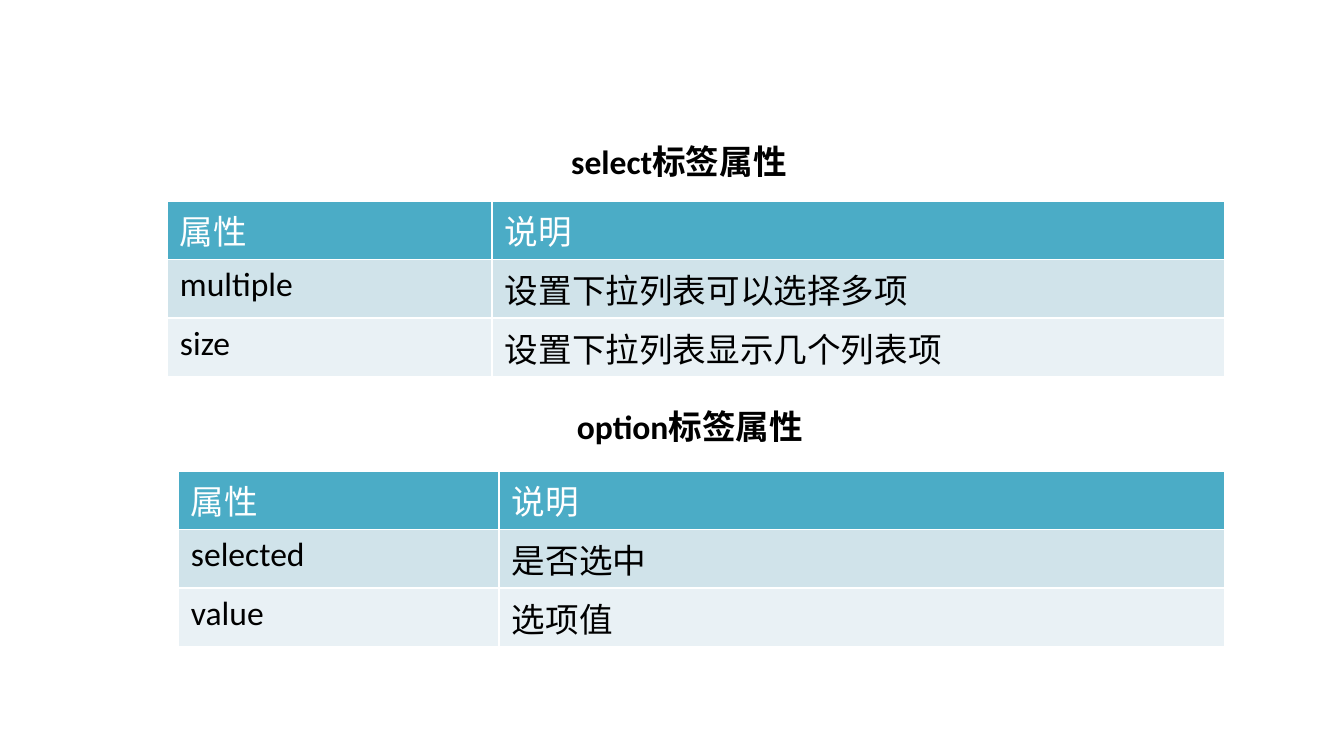
from dataclasses import dataclass

from lxml.etree import SubElement
from pptx import Presentation
from pptx.dml.color import RGBColor
from pptx.enum.text import MSO_ANCHOR, MSO_AUTO_SIZE, PP_ALIGN
from pptx.oxml.ns import qn
from pptx.util import Emu, Pt

SCALE = 914400 / 134.4
ROW = 51
FILLS = ["4BACC6", "D0E3EA", "E9F1F5"]
INKS = ["FFFFFF", "000000", "000000"]


@dataclass
class Box:
    left: int
    top: int
    width: int
    height: int


@dataclass
class Grid:
    left: int
    top: int
    cols: list[int]
    rows: list[tuple[str, str]]


def px(size: int) -> Emu:
    return Emu(round(size * SCALE))


def color(code: str) -> RGBColor:
    return RGBColor.from_string(code)


def style(para, ink: str, bold: bool) -> None:
    font = para.font
    font.name = "Calibri"
    font.size = Pt(18)
    font.bold = bold
    font.color.rgb = color(ink)


def label(shape, box: Box, text: str) -> None:
    shape.left, shape.top = px(box.left), px(box.top)
    shape.width, shape.height = px(box.width), px(box.height)
    frame = shape.text_frame
    frame.word_wrap = True
    frame.auto_size = MSO_AUTO_SIZE.NONE
    frame.vertical_anchor = MSO_ANCHOR.TOP
    para = frame.paragraphs[0]
    para.text = text
    para.alignment = PP_ALIGN.CENTER
    para.space_before = Pt(0)
    props = para._p.get_or_add_pPr()
    props.set("marL", "0")
    props.set("indent", "0")
    SubElement(props, qn("a:buNone"))
    style(para, "000000", True)


def draw(slide, grid: Grid) -> None:
    count = len(grid.rows)
    table = slide.shapes.add_table(
        count, len(grid.cols), px(grid.left), px(grid.top),
        px(sum(grid.cols)), px(ROW * count)).table
    for col, width in zip(table.columns, grid.cols):
        col.width = px(width)
    for row, texts, fill, ink in zip(table.rows, grid.rows, FILLS, INKS):
        row.height = px(ROW)
        for cell, text in zip(row.cells, texts):
            cell.fill.solid()
            cell.fill.fore_color.rgb = color(fill)
            cell.margin_left = cell.margin_right = px(13)
            cell.margin_top = cell.margin_bottom = px(5)
            cell.text = text
            style(cell.text_frame.paragraphs[0], ink, False)


def main() -> None:
    deck = Presentation()
    deck.slide_width, deck.slide_height = px(1344), px(756)
    slide = deck.slides.add_slide(deck.slide_layouts[1])
    title, body = slide.placeholders
    title.element.getparent().remove(title.element)
    head = ("属性", "说明")

    label(body, Box(134, 134, 1090, 71), "select标签属性")
    draw(slide, Grid(167, 201, [325, 733], [
        head,
        ("multiple", "设置下拉列表可以选择多项"),
        ("size", "设置下拉列表显示几个列表项"),
    ]))

    note = slide.shapes.add_textbox(0, 0, 0, 0)
    label(note, Box(156, 399, 1068, 71), "option标签属性")
    draw(slide, Grid(178, 471, [321, 726], [
        head,
        ("selected", "是否选中"),
        ("value", "选项值"),
    ]))
    deck.save("out.pptx")


if __name__ == "__main__":
    main()
